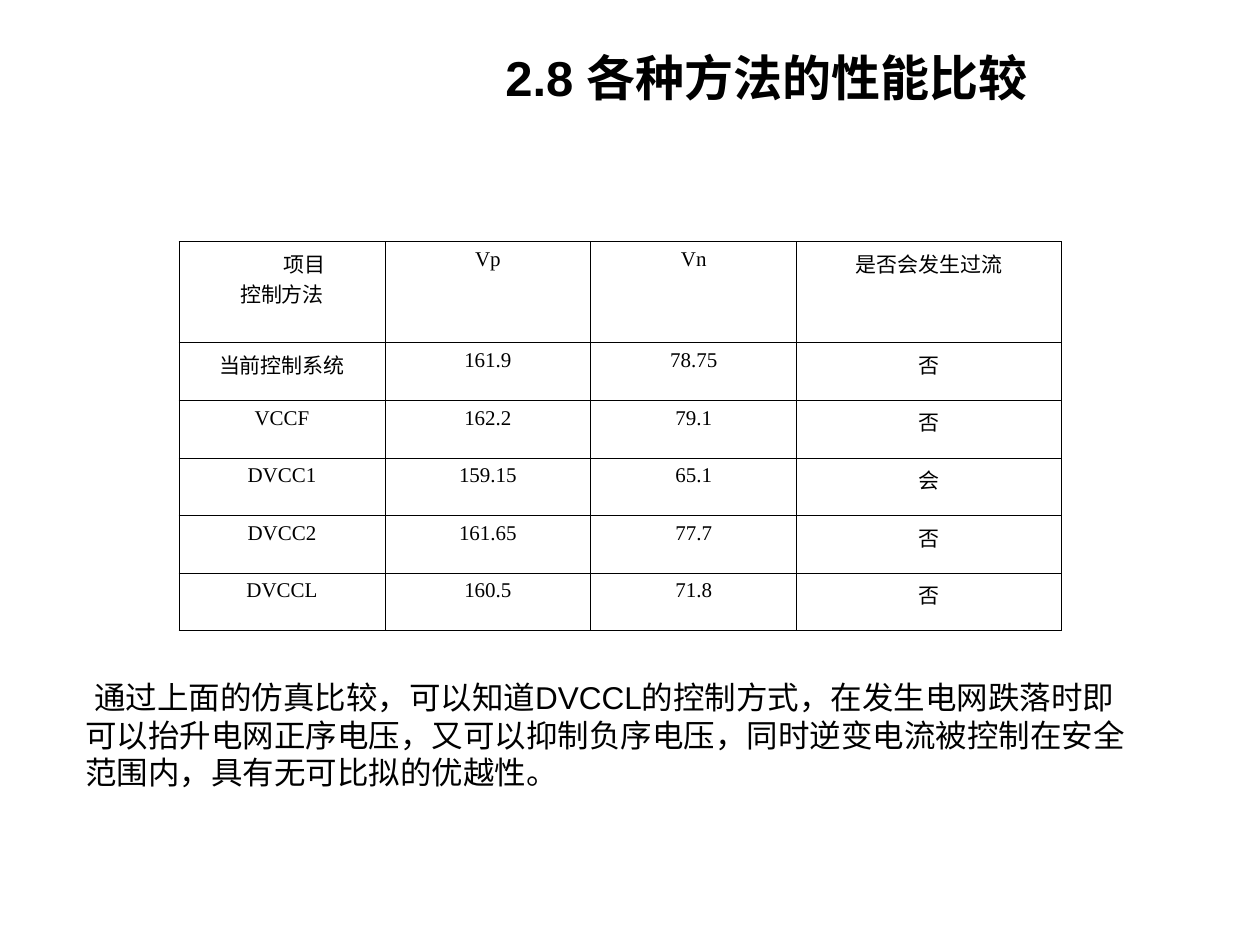
from lxml.etree import SubElement
from pptx import Presentation
from pptx.dml.color import RGBColor
from pptx.enum.text import MSO_ANCHOR as Anchor, PP_ALIGN as Align
from pptx.oxml.ns import qn
from pptx.util import Cm, Pt

BLACK = "000000"
TITLE = "2.8 各种方法的性能比较"
CONCLUSION = (
    "通过上面的仿真比较，可以知道DVCCL的控制方式，在发生电网跌落时即可以抬升电网正序电压，"
    "又可以抑制负序电压，同时逆变电流被控制在安全范围内，具有无可比拟的优越性。"
)
CORNER = ("项目", "控制方法")
ROWS = [
    (CORNER, "Vp", "Vn", "是否会发生过流"),
    ("当前控制系统", "161.9", "78.75", "否"),
    ("VCCF", "162.2", "79.1", "否"),
    ("DVCC1", "159.15", "65.1", "会"),
    ("DVCC2", "161.65", "77.7", "否"),
    ("DVCCL", "160.5", "71.8", "否"),
]
COLUMN_WIDTHS = [4.15, 4.15, 4.15, 5.33]
ROW_HEIGHTS = [2.04] + [1.16] * 5


def color(value):
    return RGBColor.from_string(value)


def write(para, text, size, font, align, bold=False):
    para.alignment = align
    span = para.add_run()
    span.text = text
    span.font.size = Pt(size)
    span.font.name = font
    span.font.bold = bold
    span.font.color.rgb = color(BLACK)


def indent(para, left=0, first=0):
    properties = para._p.get_or_add_pPr()
    properties.set("marL", str(Cm(left)))
    properties.set("indent", str(Cm(first)))


def add_box(page, left, top, width, height, anchor):
    box = page.shapes.add_textbox(Cm(left), Cm(top), Cm(width), Cm(height))
    box.text_frame.word_wrap = True
    box.text_frame.vertical_anchor = anchor
    return box.text_frame.paragraphs[0]


def add_borders(cell):
    properties = cell._tc.get_or_add_tcPr()
    for position, side in enumerate(("lnL", "lnR", "lnT", "lnB")):
        line = properties.makeelement(qn(f"a:{side}"), {"w": str(Pt(0.45))})
        properties.insert(position, line)
        fill = SubElement(line, qn("a:solidFill"))
        SubElement(fill, qn("a:srgbClr"), val=BLACK)


def add_comparison(page):
    frame = page.shapes.add_table(
        len(ROWS), len(COLUMN_WIDTHS), Cm(3.61), Cm(4.87),
        Cm(sum(COLUMN_WIDTHS)), Cm(sum(ROW_HEIGHTS)),
    )
    table = frame.table
    table.first_row = table.horz_banding = False
    for column, width in zip(table.columns, COLUMN_WIDTHS):
        column.width = Cm(width)
    for row, height, values in zip(table.rows, ROW_HEIGHTS, ROWS):
        row.height = Cm(height)
        for cell, value in zip(row.cells, values):
            cell.fill.background()
            add_borders(cell)
            lines = value if isinstance(value, tuple) else (value,)
            for number, text in enumerate(lines):
                para = cell.text_frame.add_paragraph() if number else cell.text_frame.paragraphs[0]
                write(para, text, 12, "Times New Roman", Align.CENTER)
    indent(table.cell(0, 0).text_frame.paragraphs[0], left=0.92)


def main():
    deck = Presentation()
    deck.slide_width, deck.slide_height = Cm(25.4), Cm(19.05)
    page = deck.slides.add_slide(deck.slide_layouts[6])
    heading = add_box(page, 5.08, 0.76, 15.88, 1.57, Anchor.MIDDLE)
    write(heading, TITLE, 28, "Arial", Align.RIGHT, bold=True)
    summary = add_box(page, 1.47, 13.54, 21.59, 2.54, Anchor.TOP)
    indent(summary, first=0.18)
    write(summary, CONCLUSION, 18, "Arial", Align.LEFT)
    add_comparison(page)
    deck.save("out.pptx")


if __name__ == "__main__":
    main()
